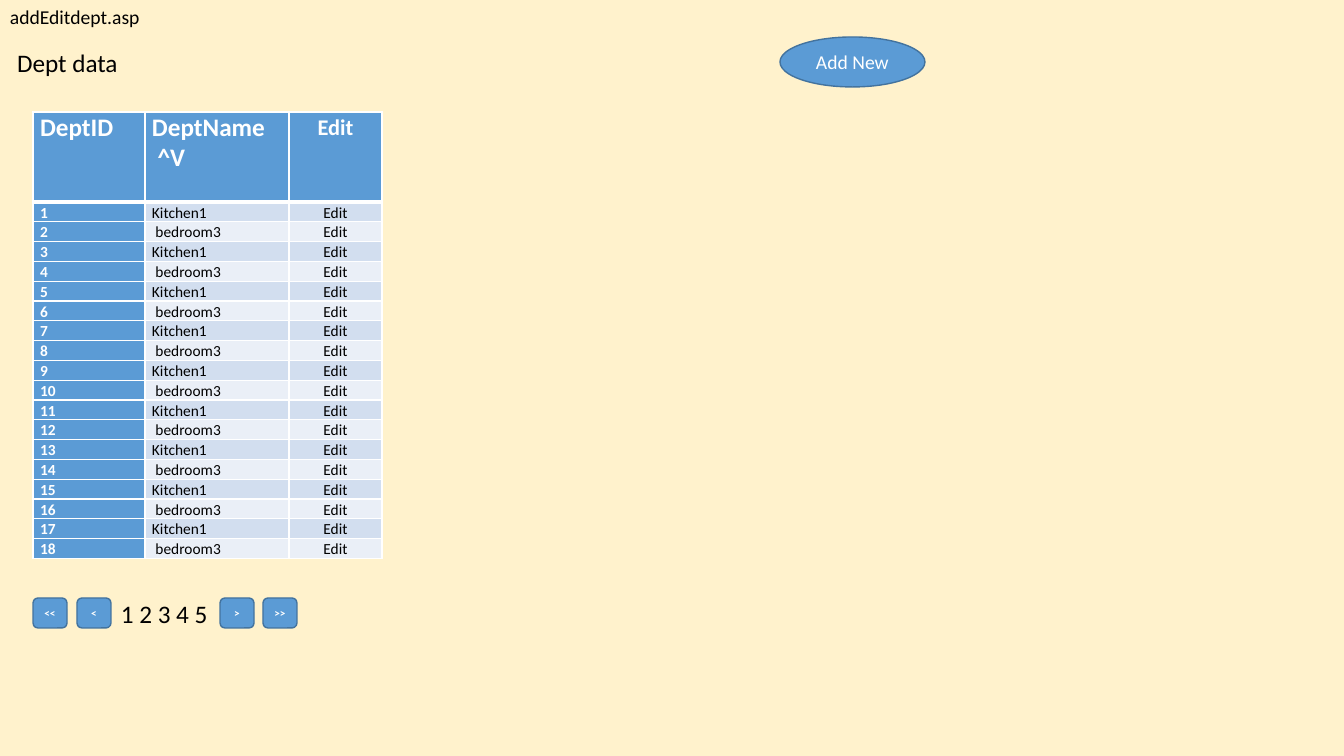
from lxml import etree
from pptx import Presentation
from pptx.dml.color import RGBColor
from pptx.enum.shapes import MSO_SHAPE
from pptx.enum.text import MSO_ANCHOR, MSO_AUTO_SIZE, PP_ALIGN
from pptx.oxml.ns import qn
from pptx.util import Pt

PIXEL = 914400 / 100.8
FONT = "Calibri"
CREAM = RGBColor(0xFF, 0xF2, 0xCC)
BLUE = RGBColor(0x5B, 0x9B, 0xD5)
DARK_BLUE = RGBColor(0x43, 0x73, 0x9E)
BAND_DARK = RGBColor(0xD2, 0xDE, 0xEF)
BAND_LIGHT = RGBColor(0xEA, 0xEF, 0xF7)
WHITE = RGBColor(0xFF, 0xFF, 0xFF)
BLACK = RGBColor(0, 0, 0)
LEFT, CENTER = PP_ALIGN.LEFT, PP_ALIGN.CENTER
TOP, MIDDLE = MSO_ANCHOR.TOP, MSO_ANCHOR.MIDDLE
FIT_SHAPE = MSO_AUTO_SIZE.SHAPE_TO_FIT_TEXT
ROUNDED, OVAL = MSO_SHAPE.ROUNDED_RECTANGLE, MSO_SHAPE.OVAL

TABLE_LEFT, TABLE_TOP = 33, 112
COLUMN_WIDTHS = (112, 144, 93)
HEADER_HEIGHT, ROW_HEIGHT = 90, 19
DEPT_COUNT = 18
DEPT_NAMES = ("Kitchen1", "\u00a0bedroom3")
PAGER_BUTTONS = ((33, "<<"), (77, "<"), (220, ">"), (263, ">>"))


def px(value):
    """Turn pixels into EMU."""
    return round(value * PIXEL)


def write(frame, lines, size, color, bold=False, align=LEFT, spacing=None):
    """Write each line as one formatted paragraph."""
    for index, line in enumerate(lines):
        para = frame.add_paragraph() if index else frame.paragraphs[0]
        para.alignment = align
        if spacing:
            para.line_spacing = spacing
        span = para.add_run()
        span.text = line
        span.font.name = FONT
        span.font.size = Pt(size)
        span.font.bold = bold
        span.font.color.rgb = color


def fill_label(box, bounds, text, size):
    """Place a box and give it one unwrapped line of black text."""
    box.left, box.top, box.width, box.height = map(px, bounds)
    frame = box.text_frame
    frame.word_wrap = False
    frame.auto_size = FIT_SHAPE
    frame.vertical_anchor = TOP
    write(frame, [text], size, BLACK)


def add_label(page, bounds, text, size):
    """Add a text box with one line."""
    fill_label(page.shapes.add_textbox(0, 0, 0, 0), bounds, text, size)


def add_button(page, kind, bounds, text, size, bold):
    """Add an outlined blue button."""
    button = page.shapes.add_shape(kind, *map(px, bounds))
    button.shadow.inherit = False
    button.fill.solid()
    button.fill.fore_color.rgb = BLUE
    button.line.color.rgb = DARK_BLUE
    button.line.width = Pt(1)
    button.text_frame.vertical_anchor = MIDDLE
    write(button.text_frame, [text], size, WHITE, bold, CENTER)


def set_borders(cell, top, bottom):
    """Draw white borders with the given top and bottom widths."""
    properties = cell._tc.get_or_add_tcPr()
    for side, width in (("L", 1), ("R", 1), ("T", top), ("B", bottom)):
        line = etree.SubElement(properties, qn(f"a:ln{side}"), w=str(Pt(width)))
        fill = etree.SubElement(line, qn("a:solidFill"))
        etree.SubElement(fill, qn("a:srgbClr"), val=str(WHITE))


def fill_cell(cell, lines, color, size, font_color, bold, align, spacing, top=1, bottom=1):
    """Format one table cell and write its text."""
    cell.margin_left = cell.margin_right = px(7)
    cell.margin_top = cell.margin_bottom = 0
    set_borders(cell, top, bottom)
    cell.fill.solid()
    cell.fill.fore_color.rgb = color
    write(cell.text_frame, lines, size, font_color, bold, align, spacing)


def add_dept_table(page):
    """Add the department table with banded rows."""
    height = HEADER_HEIGHT + DEPT_COUNT * ROW_HEIGHT
    bounds = (TABLE_LEFT, TABLE_TOP, sum(COLUMN_WIDTHS), height)
    table = page.shapes.add_table(DEPT_COUNT + 1, len(COLUMN_WIDTHS), *map(px, bounds)).table
    for column, width in zip(table.columns, COLUMN_WIDTHS):
        column.width = px(width)
    for index, row in enumerate(table.rows):
        row.height = px(ROW_HEIGHT if index else HEADER_HEIGHT)

    headers = (
        (["DeptID"], 18, LEFT, None),
        (["DeptName ", " ^V"], 18, LEFT, None),
        (["Edit"], 16, CENTER, 1.07),
    )
    for index, (lines, size, align, spacing) in enumerate(headers):
        fill_cell(table.cell(0, index), lines, BLUE, size, WHITE, True, align, spacing, bottom=3)

    for number in range(1, DEPT_COUNT + 1):
        band = BAND_DARK if number % 2 else BAND_LIGHT
        name = DEPT_NAMES[(number - 1) % 2]
        top = 3 if number == 1 else 1
        values = (
            (str(number), BLUE, WHITE, True, LEFT),
            (name, band, BLACK, False, LEFT),
            ("Edit", band, BLACK, False, CENTER),
        )
        for index, (text, color, font_color, bold, align) in enumerate(values):
            fill_cell(table.cell(number, index), [text], color, 11, font_color, bold, align, 1.07, top)


def main():
    """Build and save the department page."""
    deck = Presentation()
    deck.slide_width, deck.slide_height = px(1344), px(756)
    page = deck.slides.add_slide(deck.slide_layouts[5])
    page.background.fill.solid()
    page.background.fill.fore_color.rgb = CREAM

    add_label(page, (0, 0, 152, 34), "addEditdept.asp", 14)
    fill_label(page.shapes.title, (7, 42, 122, 40), "Dept data", 18)
    add_dept_table(page)
    for left, text in PAGER_BUTTONS:
        add_button(page, ROUNDED, (left, 598, 34, 30), text, 8, True)
    add_label(page, (111, 593, 108, 40), "1 2 3 4 5", 18)
    add_button(page, OVAL, (780, 37, 145, 50), "Add New", 14, False)
    deck.save("out.pptx")


main()
